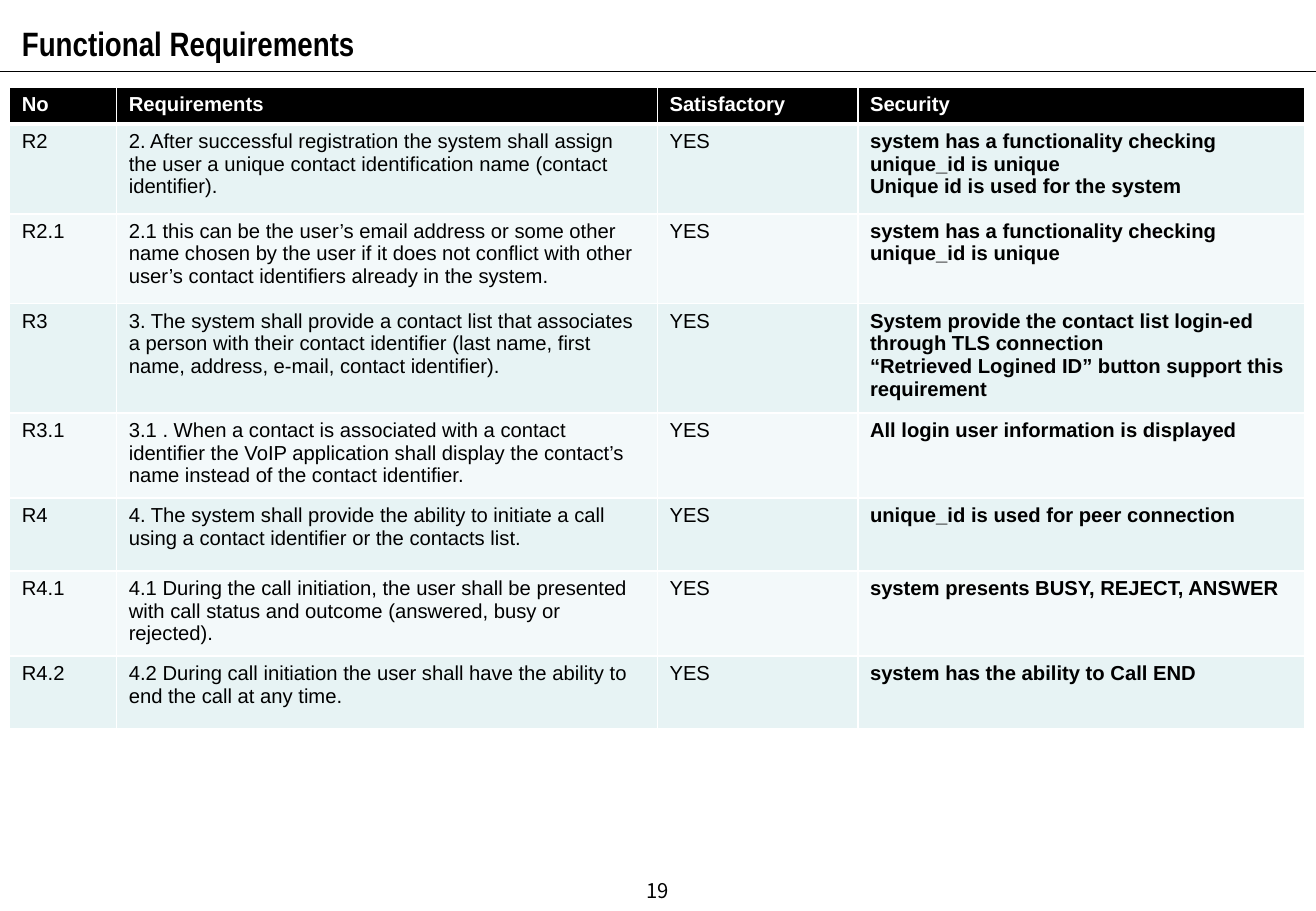
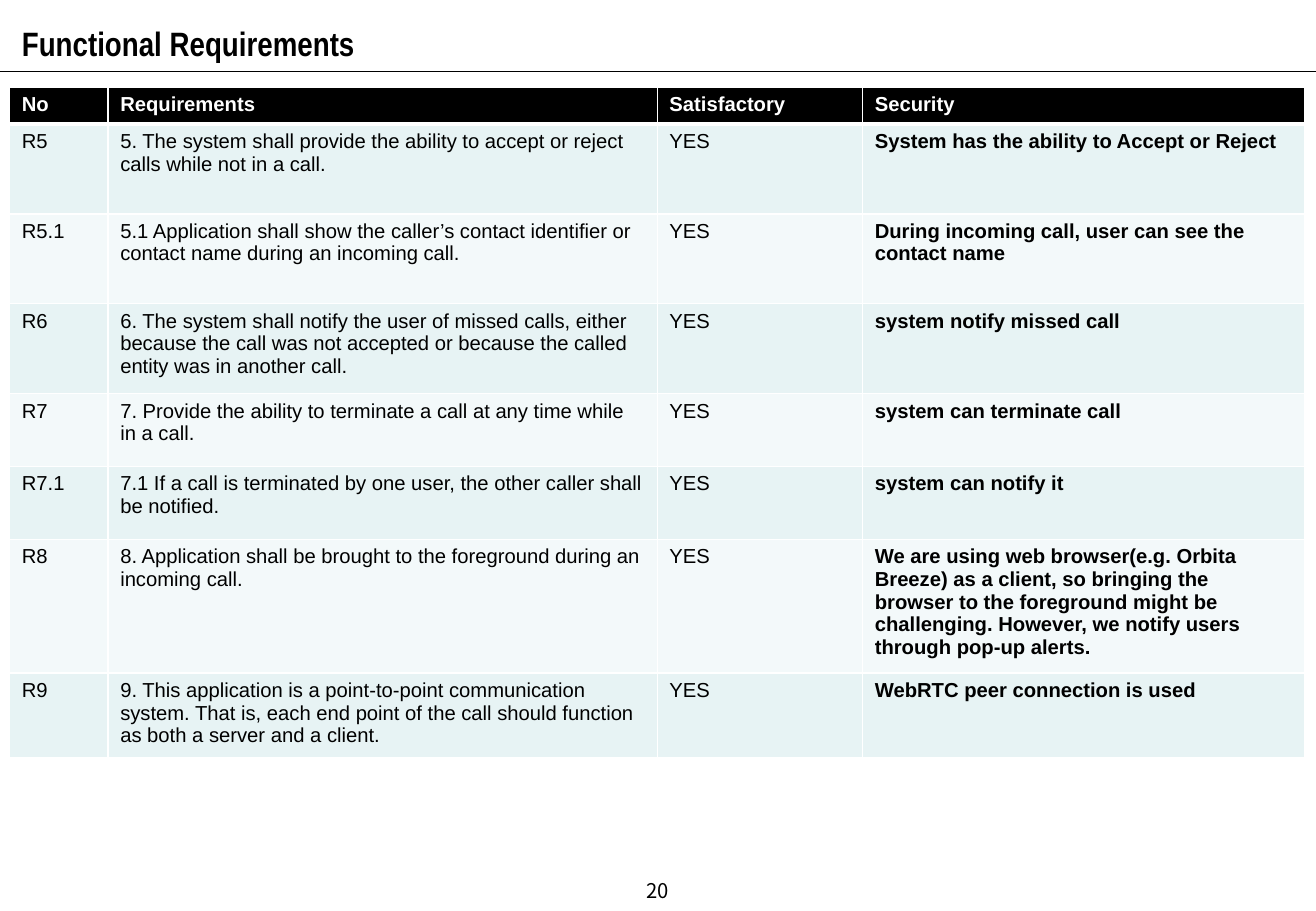
import pptx
import pptx.dml.color
import pptx.enum.shapes
import pptx.enum.text
import pptx.oxml
import pptx.oxml.ns
import pptx.util

# Content
TITLE = "Functional Requirements"
HEADERS = ("No", "Requirements", "Satisfactory", "Security")
ANSWER = "YES"

# Each row: number, requirement, security note, row height in px
SLIDES = [
    {
        "number": 19,
        "columns": (88, 445, 165, 368),
        "rows": [
            ("R2", "2. After successful registration the system shall assign the user a unique "
                   "contact identification name (contact identifier).",
             "system has a functionality checking unique_id is unique\n"
             "Unique id is used for the system", 74),
            ("R2.1", "2.1 this can be the user’s email address or some other name chosen by the "
                     "user if it does not conflict with other user’s contact identifiers already "
                     "in the system.",
             "system has a functionality checking unique_id is unique", 74),
            ("R3", "3. The system shall provide a contact list that associates a person with "
                   "their contact identifier (last name, first name, address, e-mail, contact "
                   "identifier).",
             "System provide the contact list login-ed through TLS connection\n"
             "“Retrieved Logined ID” button support this requirement", 90),
            ("R3.1", "3.1 . When a contact is associated with a contact identifier the VoIP "
                     "application shall display the contact’s name instead of the contact "
                     "identifier.",
             "All login user information is displayed", 70),
            ("R4", "4. The system shall provide the ability to initiate a call using a contact "
                   "identifier or the contacts list.",
             "unique_id is used for peer connection", 60),
            ("R4.1", "4.1 During the call initiation, the user shall be presented with call "
                     "status and outcome (answered, busy or rejected).",
             "system presents BUSY, REJECT, ANSWER", 70),
            ("R4.2", "4.2 During call initiation the user shall have the ability to end the call "
                     "at any time.",
             "system has the ability to Call END", 60),
        ],
    },
    {
        "number": 20,
        "columns": (81, 452, 169, 364),
        "rows": [
            ("R5", "5. The system shall provide the ability to accept or reject calls while not "
                   "in a call.",
             "System has the ability to Accept or Reject", 74),
            ("R5.1", "5.1 Application shall show the caller’s contact identifier or contact name "
                     "during an incoming call.",
             "During incoming call, user can see the contact name", 74),
            ("R6", "6. The system shall notify the user of missed calls, either because the call "
                   "was not accepted or because the called entity was in another call.",
             "system notify missed call", 74),
            ("R7", "7. Provide the ability to terminate a call at any time while in a call.",
             "system can terminate call", 60),
            ("R7.1", "7.1 If a call is terminated by one user, the other caller shall be "
                     "notified.",
             "system can notify it", 60),
            ("R8", "8. Application shall be brought to the foreground during an incoming call.",
             "We are using web browser(e.g. Orbita Breeze) as a client, so bringing the browser "
             "to the foreground might be challenging. However, we notify users through pop-up "
             "alerts.", 110),
            ("R9", "9. This application is a point-to-point communication system. That is, each "
                   "end point of the call should function as both a server and a client.",
             "WebRTC peer connection is used", 70),
        ],
    },
]

# Geometry in px, 100 px to the inch
EMU_PER_PX = 9144
SLIDE_SIZE = (1083, 750)
TITLE_BOX = (8, 7, 781, 47)
NUMBER_BOX = (415, 713, 253, 40)
RULE_TOP = 59
TABLE_LEFT, TABLE_TOP = 8, 72
HEADER_HEIGHT = 29


class Theme:
    black = "000000"
    white = "FFFFFF"
    bands = ("E7F3F4", "F3F9FA")
    title_font, body_font, number_font = "Arial Narrow", "Arial", "Noto Sans CJK KR"
    title_size, body_size = 20, 12
    rule_width, border_width, header_border_width = 0.75, 1, 3


def px(*lengths):
    return [pptx.util.Emu(length * EMU_PER_PX) for length in lengths]


def rgb(value):
    return pptx.dml.color.RGBColor.from_string(value)


def write(text_frame, text, font=Theme.body_font, size=Theme.body_size, color=Theme.black,
          bold=False, align=pptx.enum.text.PP_ALIGN.LEFT,
          anchor=pptx.enum.text.MSO_ANCHOR.TOP, line_spacing=None):
    text_frame.word_wrap = True
    text_frame.vertical_anchor = anchor
    paragraph = text_frame.paragraphs[0]
    paragraph.text = text
    paragraph.alignment = align
    if line_spacing:
        paragraph.line_spacing = line_spacing
    for run in paragraph.runs:
        run.font.name = font
        run.font.size = pptx.util.Pt(size)
        run.font.bold = bold
        run.font.color.rgb = rgb(color)


def set_borders(cell, top, bottom):
    properties = cell._tc.get_or_add_tcPr()
    widths = {"L": Theme.border_width, "R": Theme.border_width, "T": top, "B": bottom}
    for side, width in widths.items():
        properties.append(pptx.oxml.parse_xml(
            f'<a:ln{side} {pptx.oxml.ns.nsdecls("a")} w="{pptx.util.Pt(width)}">'
            f'<a:solidFill><a:srgbClr val="{Theme.white}"/></a:solidFill></a:ln{side}>'))


def add_frame(slide, number):
    # Rule under the title
    rule = slide.shapes.add_connector(
        pptx.enum.shapes.MSO_CONNECTOR.STRAIGHT, *px(0, RULE_TOP, SLIDE_SIZE[0], RULE_TOP))
    rule.line.color.rgb = rgb(Theme.black)
    rule.line.width = pptx.util.Pt(Theme.rule_width)
    rule._element.spPr.append(
        pptx.oxml.parse_xml(f'<a:effectLst {pptx.oxml.ns.nsdecls("a")}/>'))

    # Title
    title = slide.shapes.title
    title.left, title.top, title.width, title.height = px(*TITLE_BOX)
    write(title.text_frame, TITLE, font=Theme.title_font, size=Theme.title_size, bold=True,
          line_spacing=1.2)
    title.text_frame.auto_size = pptx.enum.text.MSO_AUTO_SIZE.SHAPE_TO_FIT_TEXT

    # Page number
    number_box = slide.shapes.add_textbox(*px(*NUMBER_BOX))
    write(number_box.text_frame, str(number), font=Theme.number_font,
          align=pptx.enum.text.PP_ALIGN.CENTER, anchor=pptx.enum.text.MSO_ANCHOR.MIDDLE)


def add_requirements(slide, columns, rows):
    heights = [HEADER_HEIGHT] + [row[-1] for row in rows]
    lines = [HEADERS] + [(number, requirement, ANSWER, security)
                         for number, requirement, security, _ in rows]
    table = slide.shapes.add_table(
        len(lines), len(columns), *px(TABLE_LEFT, TABLE_TOP, sum(columns), sum(heights))).table
    for column, width in zip(table.columns, px(*columns)):
        column.width = width
    for row, height in zip(table.rows, px(*heights)):
        row.height = height

    for row_index, line in enumerate(lines):
        is_header = row_index == 0
        fill = Theme.black if is_header else Theme.bands[(row_index - 1) % 2]
        top = Theme.header_border_width if row_index == 1 else Theme.border_width
        bottom = Theme.header_border_width if is_header else Theme.border_width
        for column_index, text in enumerate(line):
            cell = table.cell(row_index, column_index)
            set_borders(cell, top, bottom)
            cell.fill.solid()
            cell.fill.fore_color.rgb = rgb(fill)
            write(cell.text_frame, text, color=Theme.white if is_header else Theme.black,
                  bold=is_header or column_index == len(columns) - 1)


def main():
    presentation = pptx.Presentation()
    presentation.slide_width, presentation.slide_height = px(*SLIDE_SIZE)
    title_only = presentation.slide_layouts.get_by_name("Title Only")
    for content in SLIDES:
        slide = presentation.slides.add_slide(title_only)
        add_frame(slide, content["number"])
        add_requirements(slide, content["columns"], content["rows"])
    presentation.save("out.pptx")


if __name__ == "__main__":
    main()
